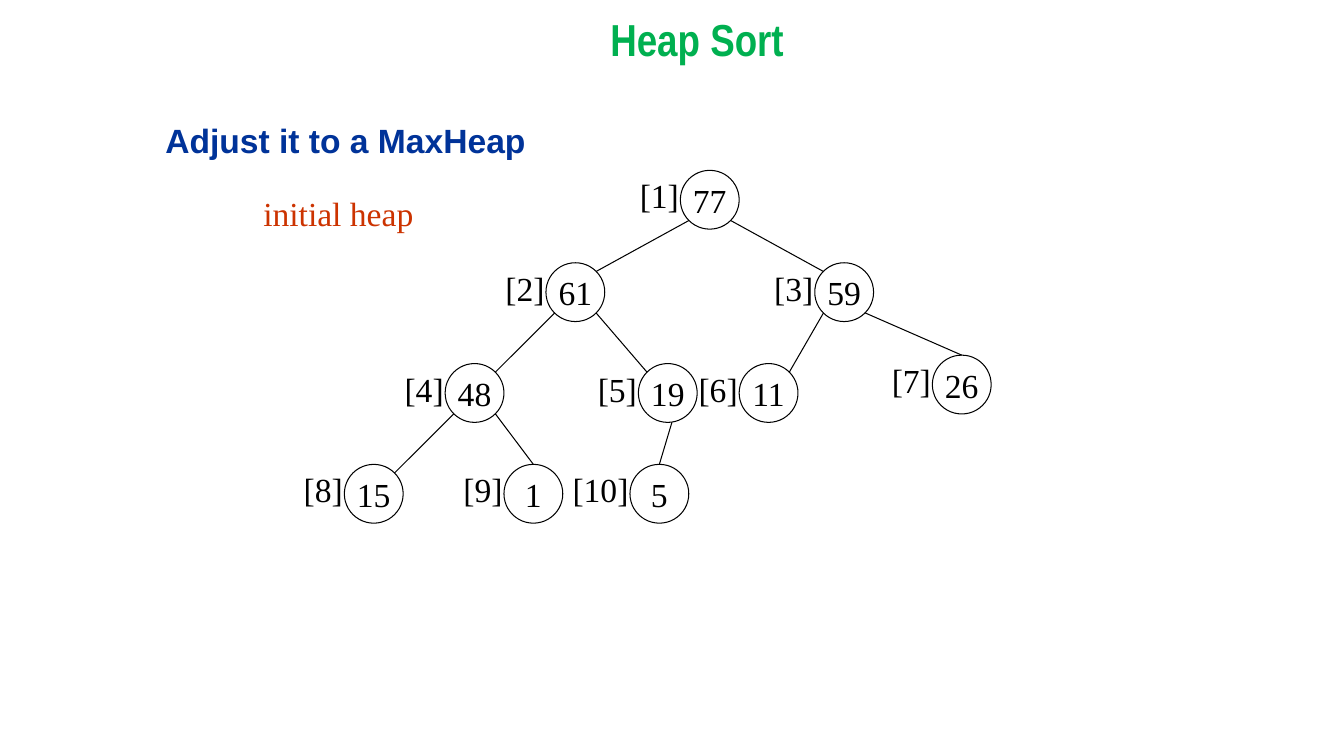
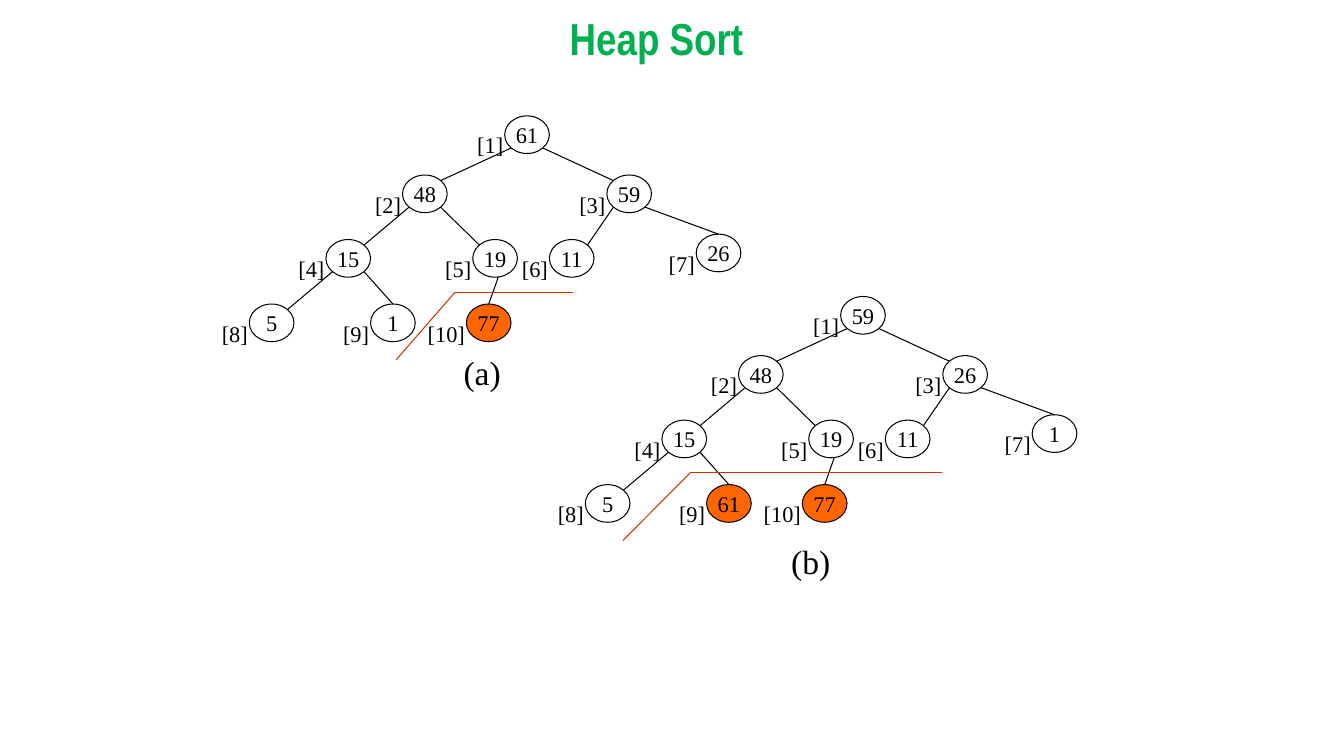
from pptx import Presentation
from pptx.dml.color import RGBColor
from pptx.enum.shapes import MSO_CONNECTOR as CONN, MSO_SHAPE as SHAPE
from pptx.enum.text import MSO_ANCHOR as ANCHOR, PP_ALIGN as ALIGN
from pptx.oxml.ns import qn
from pptx.util import Pt
from lxml import etree

# Heap geometry at full size: node offsets from the root, in index order
NODE = 42
OFFSETS = [(0, 0), (-96, 66), (96, 66), (-168, 138), (-30, 138), (42, 138),
           (180, 132), (-240, 210), (-126, 210), (-36, 210)]

# Points on a node's outline, as fractions of its width and height
TOP, LOW = (0.5, 0), (0.57, 1)
TL, TR, BL, BR = (0.15, 0.15), (0.85, 0.15), (0.15, 0.85), (0.85, 0.85)

# Parent, point on parent, child, point on child
EDGES = [(1, BL, 2, TR), (1, BR, 3, TL), (2, BL, 4, TR), (2, BR, 5, TL),
         (4, BL, 8, TR), (4, BR, 9, TOP), (5, LOW, 10, TOP),
         (3, BL, 6, TR), (3, BR, 7, TOP)]


def rgb(value):
    return RGBColor.from_string(value)


class Deck:
    SERIF, SANS, NARROW = "Times New Roman", "Arial", "Arial Narrow"
    INK, RED, ORANGE = "000000", "CC3300", "FF6600"
    BLUE, GREEN = "003399", "00B050"

    def __init__(self):
        self.prs = Presentation()
        self.prs.slide_width, self.prs.slide_height = Pt(960), Pt(540)
        self.s = None

    def slide(self, title, x, y):
        self.s = self.prs.slides.add_slide(self.prs.slide_layouts[6])
        p = self.text(title, x, y, 648, 61, 32, self.GREEN, self.NARROW,
                      True, ALIGN.CENTER, ANCHOR.MIDDLE)
        p.line_spacing = 0.7

    def set_text(self, tf, text, size, color, font, bold, align, anchor):
        tf.vertical_anchor = anchor
        p = tf.paragraphs[0]
        p.text, p.alignment = text, align
        p.font.name, p.font.size, p.font.bold = font, Pt(size), bold
        p.font.color.rgb = rgb(color)
        return p

    def text(self, text, x, y, w, h, size=24, color=INK, font=SERIF,
             bold=False, align=ALIGN.LEFT, anchor=ANCHOR.TOP):
        tf = self.s.shapes.add_textbox(Pt(x), Pt(y), Pt(w), Pt(h)).text_frame
        tf.word_wrap = True
        return self.set_text(tf, text, size, color, font, bold, align, anchor)

    def node(self, text, x, y, w, h, size, fill=None):
        sp = self.s.shapes.add_shape(SHAPE.OVAL, Pt(x), Pt(y), Pt(w), Pt(h))
        sp.shadow.inherit = False
        if fill:
            sp.fill.solid()
            sp.fill.fore_color.rgb = rgb(fill)
        else:
            sp.fill.background()
        sp.line.color.rgb, sp.line.width = rgb(self.INK), Pt(0.75)
        sp.text_frame.word_wrap = False
        self.set_text(sp.text_frame, text, size, self.INK, self.SERIF, False,
                      ALIGN.CENTER, ANCHOR.MIDDLE)
        return sp

    def line(self, x1, y1, x2, y2, color=INK):
        cx = self.s.shapes.add_connector(CONN.STRAIGHT, Pt(x1), Pt(y1), Pt(x2), Pt(y2))
        cx.line.color.rgb, cx.line.width = rgb(color), Pt(0.75)
        etree.SubElement(cx._element.spPr, qn("a:effectLst"))
        return cx

    def heap(self, values, x, y, sx=1, sy=1, size=24, label_dy=0, done=()):
        """Draw a ten-node heap with its root at x, y; done nodes are filled."""
        w, h = NODE * sx, NODE * sy
        spots = [(x + dx * sx, y + dy * sy) for dx, dy in OFFSETS]
        nodes = []
        for i, (value, (nx, ny)) in enumerate(zip(values, spots), 1):
            fill = self.ORANGE if i in done else None
            nodes.append(self.node(str(value), nx, ny, w, h, size, fill))
            self.text(f"[{i}]", nx - 54, ny + label_dy, 60, size * 1.5, size,
                      align=ALIGN.RIGHT)
        for parent, start, child, end in EDGES:
            (px, py), (cx, cy) = spots[parent - 1], spots[child - 1]
            edge = self.line(px + start[0] * w, py + start[1] * h,
                             cx + end[0] * w, cy + end[1] * h)
            if end == TOP:
                edge.end_connect(nodes[child - 1], 0)

    def boundary(self, x, y, right, left, bottom):
        """Separate the sorted nodes: a level line and a slope from one corner."""
        self.line(x, y, right, y, self.RED)
        self.line(x, y, left, bottom, self.RED)


def main():
    deck = Deck()

    # Slide 1: initial heap
    deck.slide("Heap Sort", 174, 2)
    deck.text("Adjust it to a MaxHeap", 111, 82, 711, 36, color=deck.BLUE,
              font=deck.SANS, bold=True)
    deck.heap([77, 61, 59, 48, 19, 11, 26, 15, 1, 5], 486, 121.7)
    deck.text("initial heap", 181, 134, 130, 36, color=deck.RED)

    # Slide 2: heap after the first two removals
    deck.slide("Heap Sort", 145, 0.8)
    small = dict(sx=0.76, sy=0.64, size=16, label_dy=7.6)
    deck.heap([61, 48, 59, 15, 19, 11, 26, 5, 1, 77], 360.5, 82.8,
              done=(10,), **small)
    deck.heap([59, 48, 26, 15, 19, 11, 1, 5, 61, 77], 600.5, 211.8,
              done=(9, 10), **small)
    deck.text("(a)", 324, 247.5, 48, 36)
    deck.text("(b)", 558, 383, 48, 36)
    deck.boundary(325, 208.8, 409, 283, 257)
    deck.boundary(493, 337.8, 673, 445, 386)

    deck.prs.save("out.pptx")


if __name__ == "__main__":
    main()
